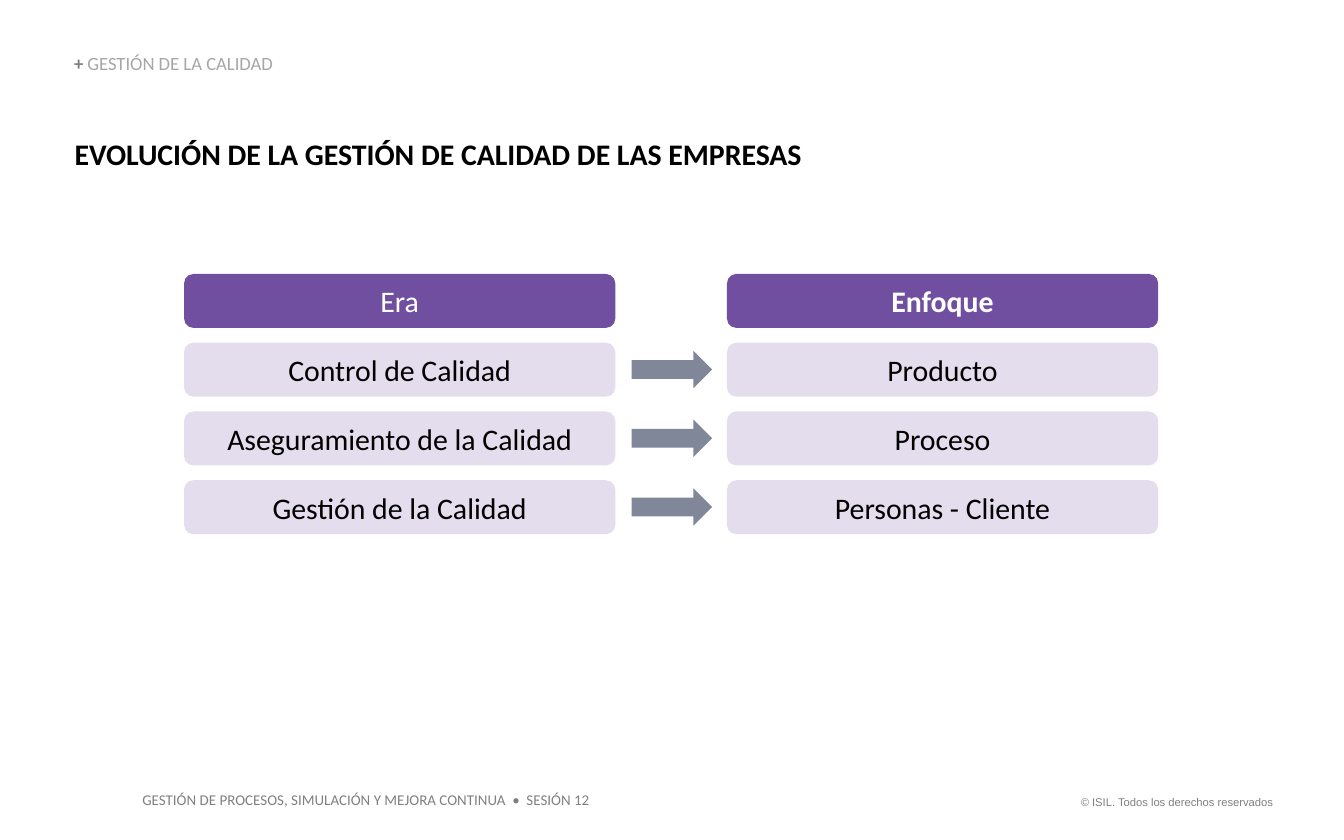
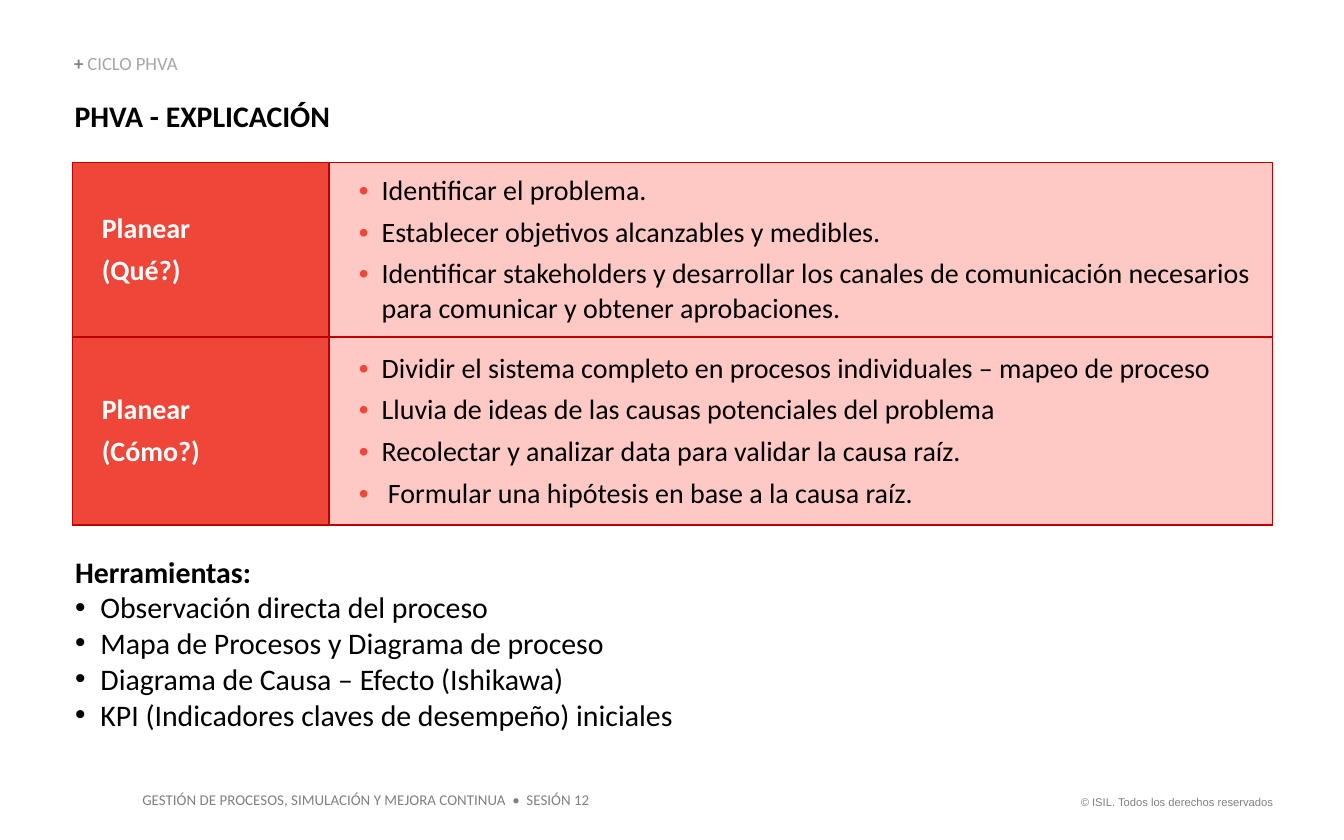
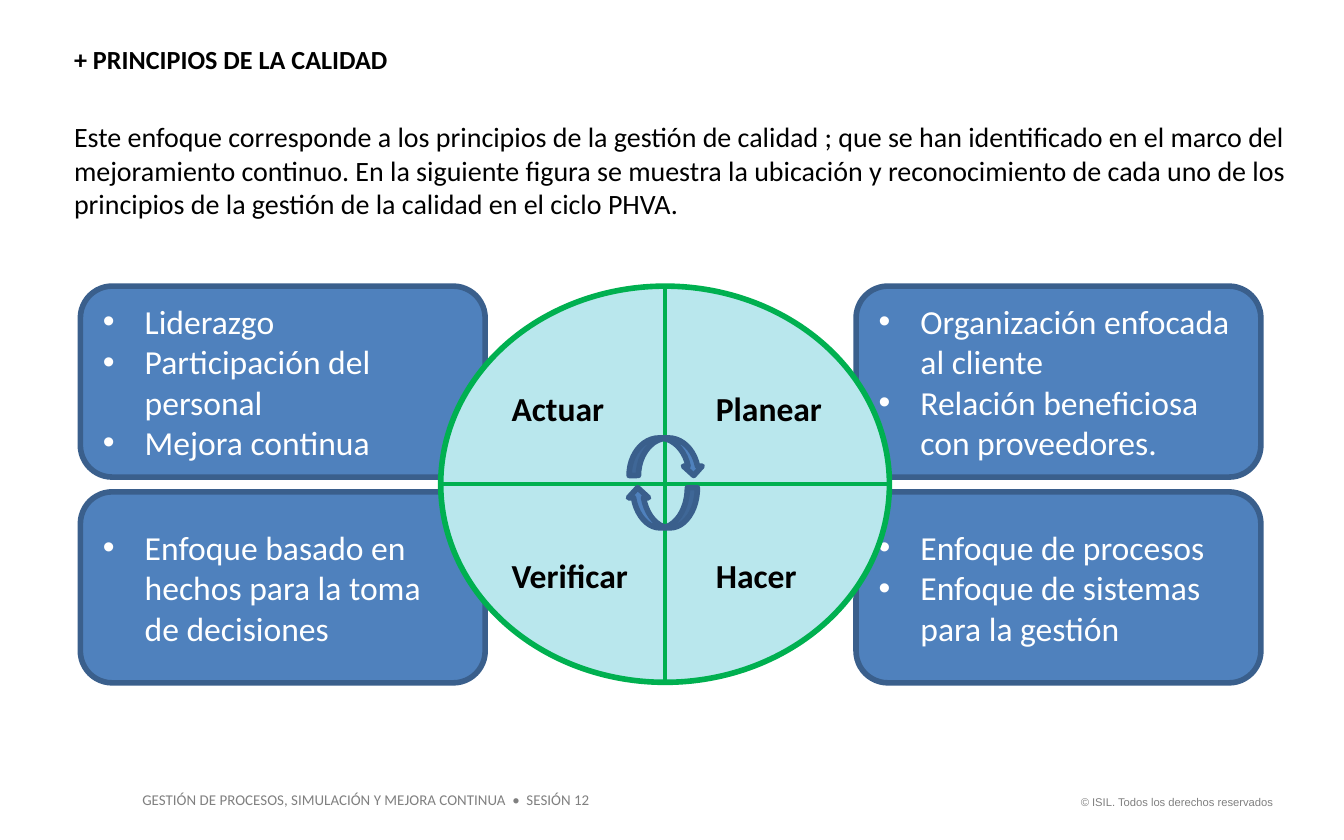
"""Build three slides on quality management and the PHVA cycle."""
from dataclasses import dataclass
from typing import Any, NamedTuple, Optional

from lxml import etree
from pptx import Presentation, slide as page, util as u
from pptx.dml import color
from pptx.enum import shapes, text
from pptx.oxml import ns

HUES = {
    "black": "000000", "white": "FFFFFF", "grey": "808080", "pale": "A6A6A6",
    "plum": "714FA0", "lilac": "E4DDED", "slate": "808799",
    "red": "EE4639", "pink": "FEC9C5", "wine": "C00000",
    "blue": "4F81BD", "navy": "3A5F8C", "aqua": "B9E7ED", "green": "00B050",
}
KINDS = shapes.MSO_SHAPE
LEFT, MID, RIGHT = text.PP_ALIGN.LEFT, text.PP_ALIGN.CENTER, text.PP_ALIGN.RIGHT
TOP, CORE, BASE = text.MSO_ANCHOR.TOP, text.MSO_ANCHOR.MIDDLE, text.MSO_ANCHOR.BOTTOM


class Area(NamedTuple):
    """Left, top, width and height in centimetres."""
    left: float
    top: float
    width: float
    height: float

    def emu(self) -> list[u.Length]:
        """Give the four lengths to python-pptx."""
        return [u.Cm(side) for side in self]


class Run(NamedTuple):
    """A stretch of text in one style."""
    words: str
    size: float = 16
    hue: str = "black"
    bold: bool = False
    font: str = "Calibri"


@dataclass(frozen=True)
class Style:
    """How the paragraphs of one frame are set."""
    align: Any = LEFT
    anchor: Any = TOP
    inset: Optional[float] = None
    wrap: bool = True
    gap: float = 0
    lead: Optional[float] = None


@dataclass(frozen=True)
class Para:
    """Runs with an indent and, if wanted, a bullet."""
    runs: tuple[Run, ...]
    dent: float = 0
    hang: float = 0
    dot: Optional[str] = None


@dataclass(frozen=True)
class Block:
    """A preset shape with its fill, line and text."""
    kind: Any
    area: Area
    fill: str
    line: Optional[str] = None
    paras: tuple[Para, ...] = ()
    style: Style = Style(anchor=CORE)
    adjust: Optional[float] = None
    turn: float = 0


BARE = Style(inset=0)
KICK = Style(anchor=BASE, inset=0, lead=0.9)
CELL = Style(anchor=CORE, gap=4)


def rgb(name: str) -> color.RGBColor:
    """Look up a colour by name."""
    return color.RGBColor.from_string(HUES[name])


def plain(words: str, **look: Any) -> Para:
    """Make a paragraph of a single run."""
    return Para((Run(words, **look),))


def points(lines: list[str], dent: float, dot: str, **look: Any) -> tuple[Para, ...]:
    """Make bulleted paragraphs with a hanging indent."""
    return tuple(Para((Run(line, **look),), dent, dent, dot) for line in lines)


def mark(para: Any, item: Para) -> None:
    """Set the indent and bullet of a paragraph."""
    props = para._p.get_or_add_pPr()
    props.set("marL", str(u.Cm(item.dent)))
    props.set("indent", str(u.Cm(-item.hang)))
    if item.dot:
        tint = etree.SubElement(props, ns.qn("a:buClr"))
        etree.SubElement(tint, ns.qn("a:srgbClr"), val=HUES[item.dot])
        etree.SubElement(props, ns.qn("a:buFont"), typeface="Arial")
        etree.SubElement(props, ns.qn("a:buChar"), char="•")


def write(frame: Any, paras: tuple[Para, ...], style: Style) -> None:
    """Fill a text frame run by run."""
    for spot, item in enumerate(paras):
        para = frame.add_paragraph() if spot else frame.paragraphs[0]
        mark(para, item)
        para.alignment = style.align
        if style.lead:
            para.line_spacing = style.lead
        if spot and style.gap:
            para.space_before = u.Pt(style.gap)
        for piece in item.runs:
            run = para.add_run()
            run.text = piece.words
            run.font.name = piece.font
            run.font.size = u.Pt(piece.size)
            run.font.bold = piece.bold
            run.font.color.rgb = rgb(piece.hue)


def fit(frame: Any, style: Style) -> None:
    """Set wrap, anchor and insets of a shape's frame."""
    frame.word_wrap = style.wrap
    frame.vertical_anchor = style.anchor
    if style.inset is not None:
        frame.margin_left = frame.margin_right = u.Cm(style.inset)
        frame.margin_top = frame.margin_bottom = u.Cm(style.inset)


def label(sheet: page.Slide, area: Area, paras: tuple[Para, ...], style: Style) -> None:
    """Draw a text box."""
    frame = sheet.shapes.add_textbox(*area.emu()).text_frame
    fit(frame, style)
    write(frame, paras, style)


def draw(sheet: page.Slide, block: Block) -> None:
    """Draw a preset shape."""
    shape = sheet.shapes.add_shape(block.kind, *block.area.emu())
    shape.shadow.inherit = False
    shape.rotation = block.turn
    shape.fill.solid()
    shape.fill.fore_color.rgb = rgb(block.fill)
    if block.line:
        shape.line.color.rgb = rgb(block.line)
        shape.line.width = u.Pt(3)
    else:
        shape.line.fill.background()
    if block.adjust is not None:
        shape.adjustments[0] = block.adjust
    if block.paras:
        fit(shape.text_frame, block.style)
        write(shape.text_frame, block.paras, block.style)


def rule(sheet: page.Slide, ends: tuple[float, float, float, float]) -> None:
    """Draw a straight green line."""
    line = sheet.shapes.add_connector(
        shapes.MSO_CONNECTOR.STRAIGHT, *[u.Cm(end) for end in ends])
    line.line.color.rgb = rgb("green")
    line.line.width = u.Pt(2.25)
    etree.SubElement(line._element.spPr, ns.qn("a:effectLst"))


def edge(cell: Any) -> None:
    """Put a thin wine border round a cell."""
    props = cell._tc.get_or_add_tcPr()
    for side in ("lnL", "lnR", "lnT", "lnB"):
        line = etree.SubElement(props, ns.qn(f"a:{side}"), w=str(u.Pt(1)))
        fill = etree.SubElement(line, ns.qn("a:solidFill"))
        etree.SubElement(fill, ns.qn("a:srgbClr"), val=HUES["wine"])


def start(deck: Any) -> page.Slide:
    """Add a blank slide with the shared footers."""
    sheet = deck.slides.add_slide(deck.slide_layouts[6])
    label(sheet, Area(20.02, 14.91, 4.29, 0.51),
          (plain("© ISIL. Todos los derechos reservados", size=6, hue="grey", font="Arial"),),
          Style(align=RIGHT))
    label(sheet, Area(2.44, 14.83, 8.97, 0.61),
          (plain("GESTIÓN DE PROCESOS, SIMULACIÓN Y MEJORA CONTINUA  •  SESIÓN 12",
                 size=8, hue="grey"),), Style())
    return sheet


def kicker(sheet: page.Slide, words: str) -> None:
    """Draw the grey section name."""
    runs = (Run("+ ", 10, "grey", True), Run(words, 10, "pale"))
    label(sheet, Area(1.4, 1.04, 6.76, 0.38), (Para(runs),), KICK)


def title(sheet: page.Slide, words: str, top: float) -> None:
    """Draw the bold slide title."""
    label(sheet, Area(1.41, top, 20.02, 0.69), (plain(words, bold=True),), BARE)


def eras(deck: Any) -> None:
    """Build the slide of eras and their focus."""
    sheet = start(deck)
    title(sheet, "EVOLUCIÓN DE LA GESTIÓN DE CALIDAD DE LAS EMPRESAS", 2.57)
    kicker(sheet, "GESTIÓN DE LA CALIDAD")
    pairs = [("Era", "Enfoque"), ("Control de Calidad", "Producto"),
             ("Aseguramiento de la Calidad", "Proceso"),
             ("Gestión de la Calidad", "Personas - Cliente")]
    for row, pair in enumerate(pairs):
        top = 5.18 + 1.3 * row
        fill, hue = ("lilac", "black") if row else ("plum", "white")
        for left, words in zip((3.48, 13.74), pair):
            para = plain(words, hue=hue, bold=words == "Enfoque")
            draw(sheet, Block(KINDS.ROUNDED_RECTANGLE, Area(left, top, 8.15, 1.02), fill,
                              paras=(para,), style=Style(MID, CORE), adjust=0.173))
        if row:
            draw(sheet, Block(KINDS.RIGHT_ARROW, Area(11.94, top + 0.15, 1.52, 0.71), "slate"))


def plan(deck: Any) -> None:
    """Build the slide that explains the planning step."""
    sheet = start(deck)
    title(sheet, "PHVA - EXPLICACIÓN", 1.85)
    rows = [
        (3.3, "(Qué?)", [
            "Identificar el problema.",
            "Establecer objetivos alcanzables y medibles.",
            "Identificar stakeholders y desarrollar los canales de comunicación "
            "necesarios para comunicar y obtener aprobaciones."]),
        (3.56, "(Cómo?)", [
            "Dividir el sistema completo en procesos individuales – mapeo de proceso",
            "Lluvia de ideas de las causas potenciales del problema",
            "Recolectar y analizar data para validar la causa raíz.",
            " Formular una hipótesis en base a la causa raíz."]),
    ]
    grid = sheet.shapes.add_table(2, 2, *Area(1.37, 3.07, 22.68, 6.86).emu()).table
    grid.first_row = grid.horz_banding = False
    for column, width in zip(grid.columns, (4.85, 17.83)):
        column.width = u.Cm(width)
    for row, (height, query, steps) in enumerate(rows):
        grid.rows[row].height = u.Cm(height)
        head = tuple(Para((Run(words, 15, "white", True),), 0.3)
                     for words in ("Planear", query))
        body = tuple(Para((Run(step, 15),), 0.74, 0.43, "red") for step in steps)
        for col, (paras, fill) in enumerate(((head, "red"), (body, "pink"))):
            cell = grid.cell(row, col)
            edge(cell)
            cell.fill.solid()
            cell.fill.fore_color.rgb = rgb(fill)
            cell.vertical_anchor = CELL.anchor
            write(cell.text_frame, paras, CELL)
    tools = points(["Observación directa del proceso",
                    "Mapa de Procesos y Diagrama de proceso",
                    "Diagrama de Causa – Efecto (Ishikawa)",
                    "KPI (Indicadores claves de desempeño) iniciales"], 0.48, "black")
    label(sheet, Area(1.42, 10.46, 22.83, 4.11),
          (plain("Herramientas:", bold=True), *tools), BARE)
    kicker(sheet, "CICLO PHVA")


def cycle(deck: Any) -> None:
    """Build the slide of principles around the cycle."""
    sheet = start(deck)
    label(sheet, Area(1.4, 2.26, 23.11, 1.93), (
        plain("Este enfoque corresponde a los principios de la gestión de calidad ; que se han "
              "identificado en el marco del mejoramiento continuo. En la siguiente figura se "
              "muestra la ubicación y reconocimiento de cada uno de los", size=15),
        plain("principios de la gestión de la calidad en el ciclo PHVA.", size=15)), BARE)
    label(sheet, Area(1.4, 0.89, 6.76, 0.53),
          (plain("+ PRINCIPIOS DE LA CALIDAD", size=14, bold=True),), KICK)
    ideas = [
        (1.52, 5.41, ["Liderazgo", "Participación del personal", "Mejora continua"]),
        (1.52, 9.3, ["Enfoque basado en hechos para la toma de decisiones"]),
        (16.18, 5.41, ["Organización enfocada al cliente",
                       "Relación beneficiosa con proveedores."]),
        (16.18, 9.3, ["Enfoque de procesos", "Enfoque de sistemas para la gestión"]),
    ]
    for left, top, lines in ideas:
        draw(sheet, Block(KINDS.ROUNDED_RECTANGLE, Area(left, top, 7.65, 3.61), "blue", "navy",
                          points(lines, 0.79, "white", size=18, hue="white")))
    disc = Area(8.33, 5.41, 8.48, 7.49)
    draw(sheet, Block(KINDS.FLOWCHART_CONNECTOR, disc, "aqua", "green"))
    mid, core = disc.left + disc.width / 2, disc.top + disc.height / 2
    rule(sheet, (mid, disc.top, mid, disc.top + disc.height))
    rule(sheet, (disc.left, core, disc.left + disc.width, core))
    for words, left, top, width in (("Actuar", 9.42, 7.21, 2.29), ("Planear", 13.28, 7.21, 2.54),
                                    ("Hacer", 13.28, 10.36, 2.06),
                                    ("Verificar", 9.42, 10.36, 2.72)):
        label(sheet, Area(left, top, width, 1.02),
              (plain(words, size=18, bold=True),), Style(wrap=False))
    draw(sheet, Block(KINDS.CURVED_DOWN_ARROW, Area(11.89, 8.28, 1.4, 0.71), "blue", "navy"))
    draw(sheet, Block(KINDS.CURVED_LEFT_ARROW, Area(12.14, 8.94, 0.76, 1.32), "blue", "navy",
                      turn=90))


def main() -> None:
    """Build and save the deck."""
    deck = Presentation()
    deck.slide_width, deck.slide_height = u.Cm(25.4), u.Cm(15.88)
    for build in (eras, plan, cycle):
        build(deck)
    deck.save("out.pptx")


if __name__ == "__main__":
    main()
